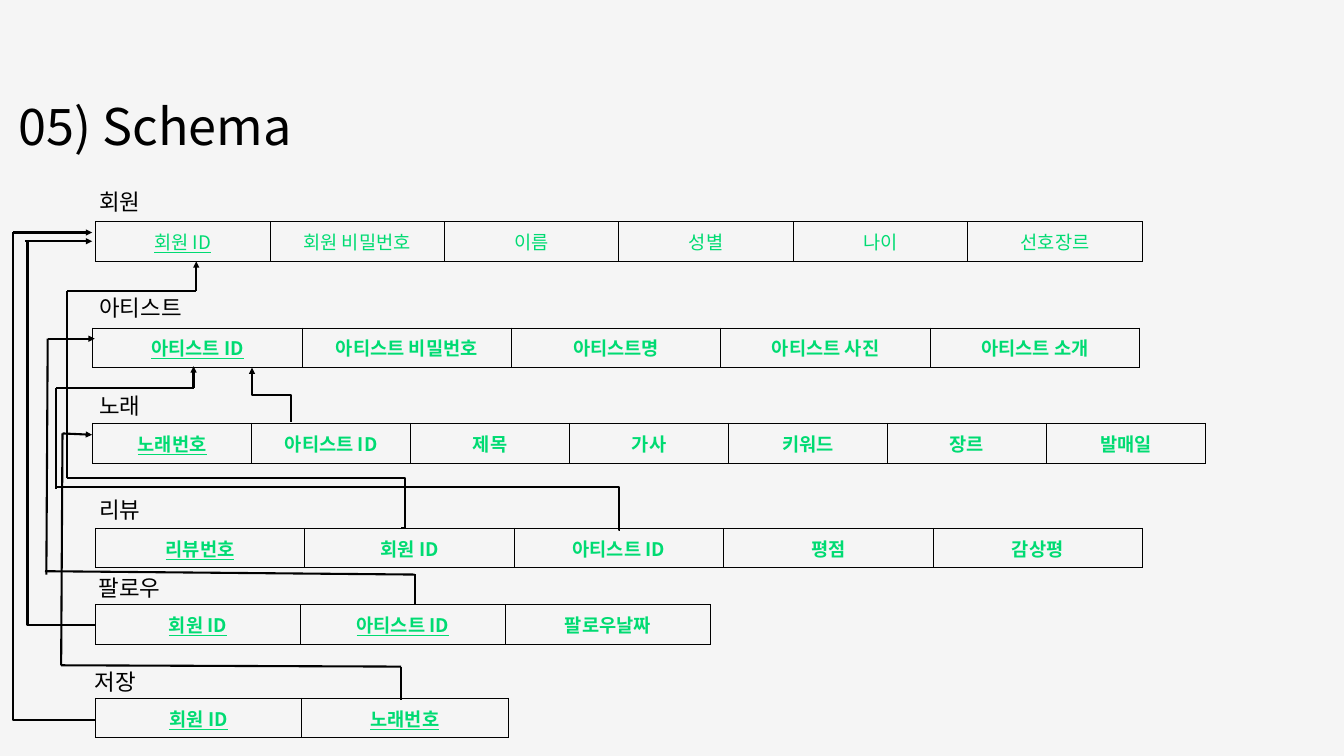
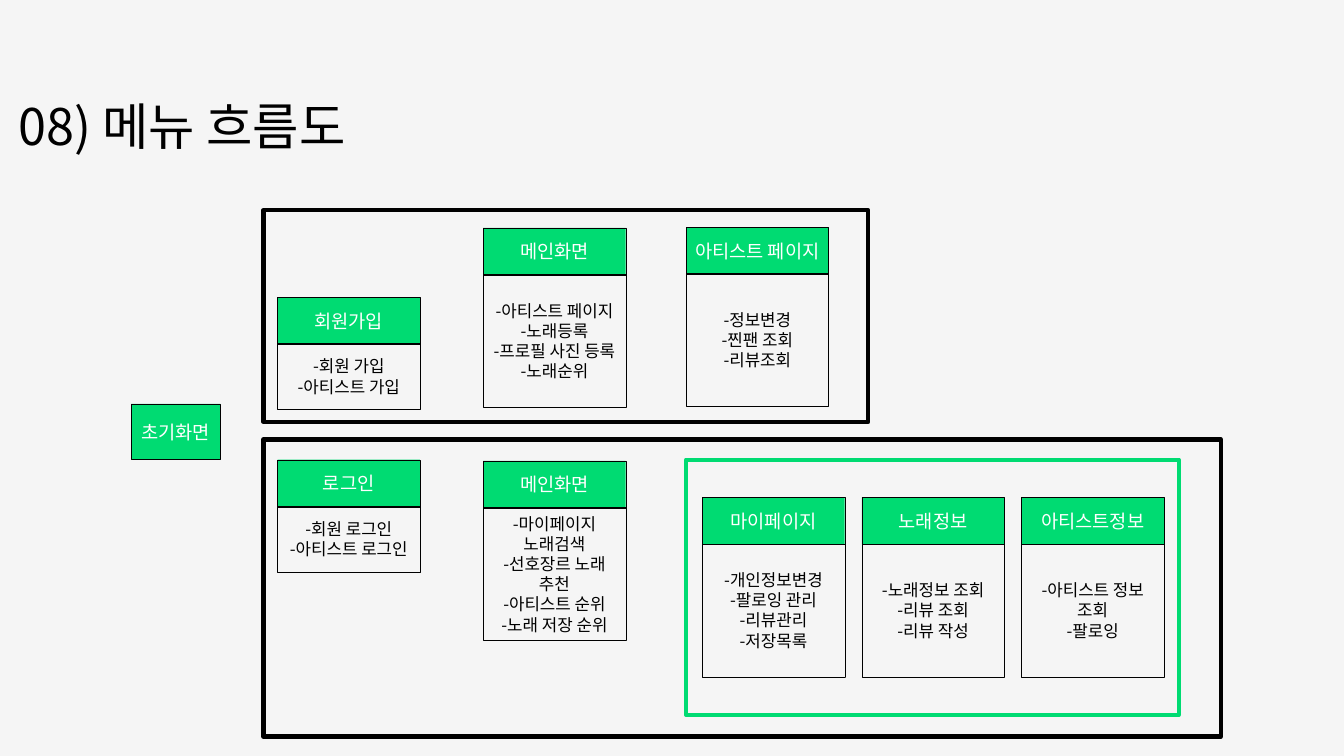
"""Builds a database schema slide and a menu flow slide."""
from dataclasses import dataclass
from typing import Any, Optional

from lxml import etree
from pptx import Presentation
from pptx.dml.color import RGBColor
from pptx.enum.shapes import MSO_CONNECTOR, MSO_SHAPE
from pptx.enum.text import MSO_ANCHOR, MSO_AUTO_SIZE, PP_ALIGN
from pptx.oxml.ns import qn
from pptx.util import Inches, Pt

STRAIGHT, ELBOW = MSO_CONNECTOR.STRAIGHT, MSO_CONNECTOR.ELBOW
RECT = MSO_SHAPE.RECTANGLE
TOP, MIDDLE = MSO_ANCHOR.TOP, MSO_ANCHOR.MIDDLE
LEFT, CENTER = PP_ALIGN.LEFT, PP_ALIGN.CENTER
FIXED, GROW = MSO_AUTO_SIZE.NONE, MSO_AUTO_SIZE.SHAPE_TO_FIT_TEXT
TITLE_ONLY = 5
WIDE, HIGH = Inches(20), Inches(11.25)
COLS, ROWS = 20, 11.25


@dataclass(frozen=True)
class Theme:
    font: str = "Noto Sans CJK KR"
    paper: RGBColor = RGBColor(0xF5, 0xF5, 0xF5)
    ink: RGBColor = RGBColor(0, 0, 0)
    green: RGBColor = RGBColor(0x00, 0xDB, 0x72)
    white: RGBColor = RGBColor(255, 255, 255)
    title: float = 54
    label: float = 24
    head: float = 20
    body: float = 18
    hair: float = 0.25
    rule: float = 1
    wire: float = 2.25
    frame: float = 4.5


THEME = Theme()


@dataclass(frozen=True)
class Box:
    x: float
    y: float
    w: float
    h: float

    def span(self) -> tuple[int, ...]:
        return (*spot(self.x, self.y), *spot(self.w, self.h))


@dataclass(frozen=True)
class Table:
    name: str
    tag: Box
    x: float
    y: float
    w: float
    cells: tuple[str, ...]
    keys: int = 1
    bold: bool = True


@dataclass(frozen=True)
class Wire:
    x: float
    y: float
    to_x: float
    to_y: float
    arrow: bool = False
    bend: str = ""
    adj: Optional[int] = None


@dataclass(frozen=True)
class Card:
    x: float
    y: float
    depth: float
    name: str
    items: tuple[str, ...]


HEAD, SHORT, TALL, CARD_W = 0.7, 0.98, 1.98, 2.12
ROW_H, TAG_H = 0.59, 0.5
TITLE = Box(0.17, 1.46, 7.75, 0.59)

TABLES = (
    Table("회원", Box(1.38, 2.75, 0.98, TAG_H), 1.42, 3.3, 15.58,
          ("회원 ID", "회원 비밀번호", "이름", "성별", "나이", "선호장르"), bold=False),
    Table("아티스트", Box(1.38, 4.33, 1.54, TAG_H), 1.38, 4.88, 15.58,
          ("아티스트 ID", "아티스트 비밀번호", "아티스트명", "아티스트 사진", "아티스트 소개")),
    Table("노래", Box(1.38, 5.78, 0.98, TAG_H), 1.38, 6.3, 16.56,
          ("노래번호", "아티스트 ID", "제목", "가사", "키워드", "장르", "발매일")),
    Table("리뷰", Box(1.38, 7.33, 0.98, TAG_H), 1.42, 7.86, 15.58,
          ("리뷰번호", "회원 ID", "아티스트 ID", "평점", "감상평")),
    Table("팔로우", Box(1.37, 8.5, 1.55, TAG_H), 1.42, 9, 9.15,
          ("회원 ID", "아티스트 ID", "팔로우날짜"), keys=2),
    Table("저장", Box(1.31, 9.9, 1.55, TAG_H), 1.42, 10.39, 6.14,
          ("회원 ID", "노래번호"), keys=2),
)

WIRES = (
    Wire(4.33, 6.28, 3.75, 5.47, arrow=True, bend="rise"),
    Wire(5.97, 7.86, 1, 7.12, bend="side", adj=-1200),
    Wire(1, 7.12, 1, 4.33),
    Wire(1, 4.33, 2.92, 4.33),
    Wire(2.92, 4.33, 2.92, 3.89, arrow=True),
    Wire(9.22, 7.89, 0.83, 7.25, bend="side", adj=100),
    Wire(0.83, 7.27, 0.83, 5.78),
    Wire(0.83, 5.78, 2.89, 5.78),
    Wire(2.88, 5.78, 2.88, 5.45, arrow=True),
    Wire(1.42, 9.3, 0.41, 3.59, bend="corner"),
    Wire(0.37, 3.59, 1.37, 3.59, arrow=True),
    Wire(1.42, 10.72, 0.19, 3.46, bend="corner"),
    Wire(0.19, 3.46, 1.37, 3.46, arrow=True),
    Wire(6.17, 9, 6.17, 8.54),
    Wire(6.17, 8.55, 0.67, 8.5),
    Wire(0.69, 8.55, 0.71, 5.04),
    Wire(0.71, 5.04, 1.41, 5.04, arrow=True),
    Wire(5.97, 10.41, 5.97, 9.92),
    Wire(5.97, 9.92, 0.91, 9.9),
    Wire(0.91, 9.9, 0.93, 6.45),
    Wire(0.93, 6.45, 1.37, 6.47, arrow=True),
)

PAGE_X, PAGE_STEP, PAGE_Y = 10.45, 2.375, 7.4
PAGES = (
    ("마이페이지", ("-개인정보변경", "-팔로잉 관리", "-리뷰관리", "-저장목록")),
    ("노래정보", ("-노래정보 조회", "-리뷰 조회", "-리뷰 작성")),
    ("아티스트정보", ("-아티스트 정보", "조회", "-팔로잉")),
)
CARDS = (
    Card(4.13, 6.84, SHORT, "로그인", ("-회원 로그인", "-아티스트 로그인")),
    Card(4.13, 4.42, SHORT, "회원가입", ("-회원 가입", "-아티스트 가입")),
    Card(7.19, 6.86, TALL, "메인화면",
         ("-마이페이지", "노래검색", "-선호장르 노래 추천", "-아티스트 순위", "-노래 저장 순위")),
    Card(7.19, 3.39, TALL, "메인화면",
         ("-아티스트 페이지", "-노래등록", "-프로필 사진 등록", "-노래순위")),
    Card(10.21, 3.38, TALL, "아티스트 페이지", ("-정보변경", "-찐팬 조회", "-리뷰조회")),
    *(Card(PAGE_X + i * PAGE_STEP, PAGE_Y, TALL, name, items)
      for i, (name, items) in enumerate(PAGES)),
)
START = Box(1.95, 6.01, 1.33, 0.83)
FRAMES = (
    (Box(10.21, 6.84, 7.33, 3.8), THEME.green),
    (Box(3.92, 6.54, 14.25, 4.42), THEME.ink),
    (Box(3.92, 3.13, 9, 3.15), THEME.ink),
)


def spot(x: float, y: float) -> tuple[int, int]:
    return round(x * WIDE / COLS), round(y * HIGH / ROWS)


def apply(target: Any, form: dict[str, Any]) -> None:
    for name, value in form.items():
        setattr(target, name, value)


def write(frame: Any, lines: tuple[str, ...], size: float, color: RGBColor,
          align: Any = CENTER, space: Optional[float] = None, **form: Any) -> None:
    look = {"size": Pt(size), "name": THEME.font, "bold": False, **form}
    for i, line in enumerate(lines):
        para = frame.add_paragraph() if i else frame.paragraphs[0]
        apply(para, {"alignment": align, "line_spacing": space})
        run = para.add_run()
        run.text = line
        run.font.color.rgb = color
        apply(run.font, look)
        face = etree.SubElement(run.font._element, qn("a:ea"))
        face.set("typeface", THEME.font)


def add_page(deck: Any, text: str) -> Any:
    slide = deck.slides.add_slide(deck.slide_layouts[TITLE_ONLY])
    title = slide.shapes.title
    apply(title, dict(zip(("left", "top", "width", "height"), TITLE.span())))
    frame = title.text_frame
    apply(frame, {"vertical_anchor": TOP, "auto_size": FIXED, "word_wrap": True})
    write(frame, (text,), THEME.title, THEME.ink, LEFT, 0.9)
    return slide


def add_edges(cell: Any) -> None:
    props = cell._tc.get_or_add_tcPr()
    for i, side in enumerate(("lnL", "lnR", "lnT", "lnB")):
        edge = etree.Element(qn(f"a:{side}"), w=str(Pt(THEME.rule)))
        fill = etree.SubElement(edge, qn("a:solidFill"))
        etree.SubElement(fill, qn("a:srgbClr"), val=str(THEME.ink))
        props.insert(i, edge)


def add_table(slide: Any, item: Table) -> None:
    area = Box(item.x, item.y, item.w, ROW_H).span()
    grid = slide.shapes.add_table(1, len(item.cells), *area).table
    apply(grid, {"first_row": False, "horz_banding": False})
    for i, text in enumerate(item.cells):
        cell = grid.cell(0, i)
        cell.vertical_anchor = MIDDLE
        cell.fill.solid()
        cell.fill.fore_color.rgb = THEME.paper
        add_edges(cell)
        write(cell.text_frame, (text,), THEME.head, THEME.green,
              bold=item.bold, underline=i < item.keys)
    frame = slide.shapes.add_textbox(*item.tag.span()).text_frame
    apply(frame, {"word_wrap": True, "auto_size": GROW})
    write(frame, (item.name,), THEME.label, THEME.ink, LEFT)


def add_wire(slide: Any, wire: Wire) -> None:
    ends = (wire.x, wire.y, wire.to_x, wire.to_y)
    if wire.bend == "rise":
        mid_x, mid_y = (wire.x + wire.to_x) / 2, (wire.y + wire.to_y) / 2
        off_x, off_y = wire.x - mid_x, wire.y - mid_y
        ends = (mid_x - off_y, mid_y + off_x, mid_x + off_y, mid_y - off_x)
    kind = ELBOW if wire.bend else STRAIGHT
    line = slide.shapes.add_connector(kind, *spot(*ends[:2]), *spot(*ends[2:]))
    line.line.color.rgb = THEME.ink
    line.line.width = Pt(THEME.wire)
    props = line._element.spPr
    shape = props.find(qn("a:prstGeom"))
    if wire.bend == "rise":
        props.find(qn("a:xfrm")).set("rot", str(270 * 60000))
    if wire.bend == "corner":
        shape.set("prst", "bentConnector2")
    if wire.adj is not None:
        guides = shape.find(qn("a:avLst"))
        etree.SubElement(guides, qn("a:gd"), name="adj1", fmla=f"val {wire.adj}")
    if wire.arrow:
        etree.SubElement(props.find(qn("a:ln")), qn("a:tailEnd"), type="triangle")
    etree.SubElement(props, qn("a:effectLst"))


def add_rect(slide: Any, box: Box, edge: RGBColor, width: float,
             fill: Optional[RGBColor] = None) -> Any:
    rect = slide.shapes.add_shape(RECT, *box.span())
    rect.shadow.inherit = False
    if fill is None:
        rect.fill.background()
    else:
        rect.fill.solid()
        rect.fill.fore_color.rgb = fill
    rect.line.color.rgb = edge
    rect.line.width = Pt(width)
    apply(rect.text_frame, {"word_wrap": True, "vertical_anchor": MIDDLE})
    return rect.text_frame


def add_head(slide: Any, box: Box, text: str) -> None:
    frame = add_rect(slide, box, THEME.ink, THEME.hair, THEME.green)
    write(frame, (text,), THEME.head, THEME.white)


def add_card(slide: Any, card: Card) -> None:
    add_head(slide, Box(card.x, card.y, CARD_W, HEAD), card.name)
    body = Box(card.x, card.y + HEAD - 0.01, CARD_W, card.depth)
    frame = add_rect(slide, body, THEME.ink, THEME.hair)
    write(frame, card.items, THEME.body, THEME.ink)


def main() -> None:
    deck = Presentation()
    apply(deck, {"slide_width": WIDE, "slide_height": HIGH})
    back = deck.slide_master.background.fill
    back.solid()
    back.fore_color.rgb = THEME.paper

    schema = add_page(deck, "05) Schema")
    for item in TABLES:
        add_table(schema, item)
    for wire in WIRES:
        add_wire(schema, wire)

    flow = add_page(deck, "08) 메뉴 흐름도")
    add_head(flow, START, "초기화면")
    for card in CARDS:
        add_card(flow, card)
    for box, color in FRAMES:
        add_rect(flow, box, color, THEME.frame)
    deck.save("out.pptx")


if __name__ == "__main__":
    main()
